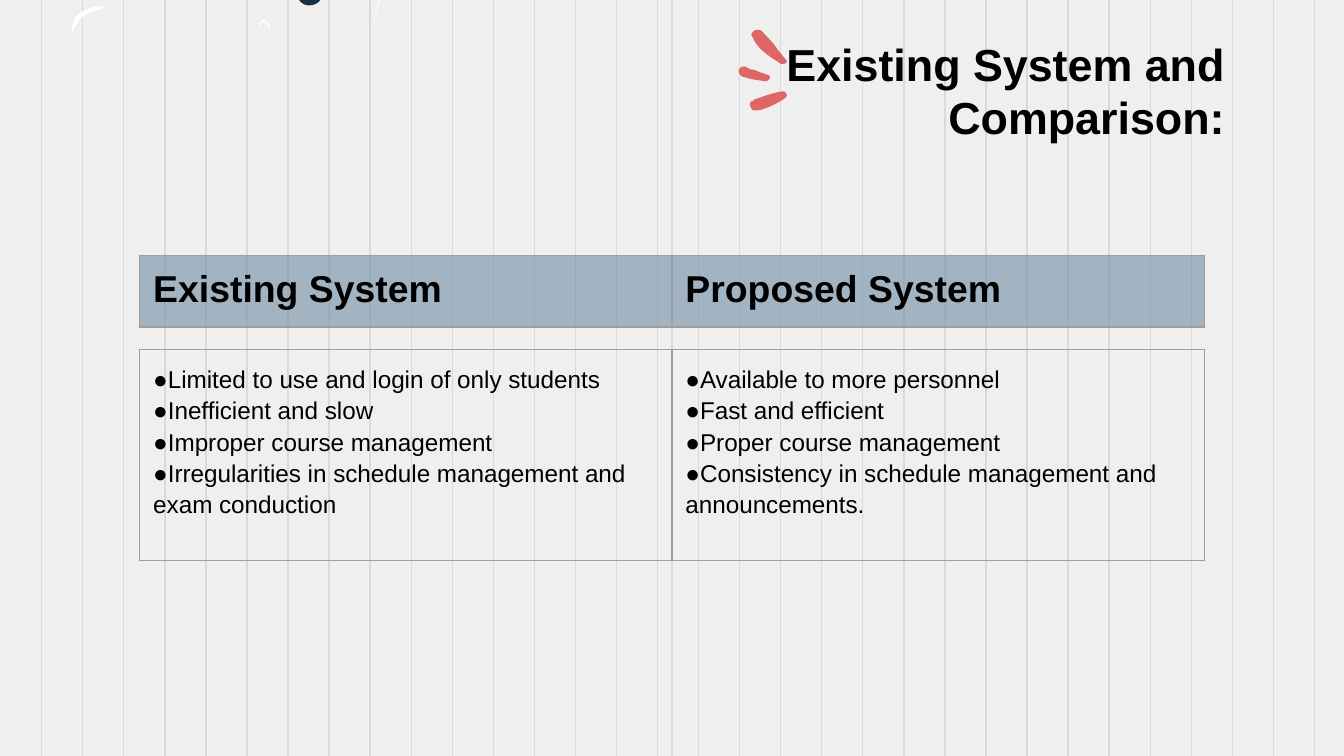
import math

import pptx
import pptx.dml.color
import pptx.enum.shapes
import pptx.enum.text
import pptx.oxml
import pptx.oxml.ns
import pptx.util
from lxml import etree

Inches = pptx.util.Inches
Pt = pptx.util.Pt
qn = pptx.oxml.ns.qn

COLORS = {
    "background": "EFEFEF", "grid": "D9D9D9", "coral": "E06666", "navy": "162F42",
    "white": "FFFFFF", "black": "000000", "header": "7994A9", "border": "9E9E9E",
}
FONT = "Arial"
SLIDE_WIDTH = 10
GRID_STEP = 0.3055

EXISTING = [
    "●Limited to use and login of only students",
    "●Inefficient and slow",
    "●Improper course management",
    "●Irregularities in schedule management and exam conduction",
]
PROPOSED = [
    "●Available to more personnel",
    "●Fast and efficient",
    "●Proper course management",
    "●Consistency in schedule management and announcements.",
]

TITLE_STROKES = [
    ((5.72, 0.345), [
        (5.81, 0.47), (5.82, 0.47, 5.83, 0.47, 5.84, 0.46),
        (5.85, 0.45, 5.84, 0.44, 5.83, 0.43), (5.81, 0.41, 5.8, 0.39, 5.78, 0.37),
        (5.75, 0.32, 5.7, 0.27, 5.65, 0.22), (5.62, 0.21, 5.59, 0.22, 5.58, 0.25),
        (5.58, 0.25, 5.58, 0.26, 5.59, 0.27), (5.6, 0.3, 5.62, 0.33, 5.65, 0.36),
        (5.69, 0.4, 5.74, 0.43, 5.8, 0.47)]),
    ((5.715, 0.76), [
        (5.6, 0.84), (5.62, 0.84, 5.63, 0.84, 5.65, 0.84),
        (5.72, 0.82, 5.78, 0.79, 5.84, 0.75), (5.85, 0.74, 5.86, 0.73, 5.85, 0.72),
        (5.85, 0.71, 5.84, 0.7, 5.82, 0.7), (5.74, 0.71, 5.68, 0.74, 5.61, 0.76),
        (5.61, 0.77, 5.6, 0.77, 5.59, 0.77), (5.59, 0.78, 5.57, 0.79, 5.58, 0.8),
        (5.58, 0.81, 5.59, 0.83, 5.6, 0.84)]),
    ((5.605, 0.555), [
        (5.54, 0.57), (5.59, 0.59, 5.64, 0.59, 5.69, 0.6),
        (5.7, 0.6, 5.72, 0.58, 5.72, 0.57), (5.72, 0.56, 5.71, 0.55, 5.7, 0.55),
        (5.64, 0.53), (5.62, 0.52, 5.6, 0.51, 5.57, 0.51),
        (5.56, 0.5, 5.55, 0.5, 5.54, 0.49), (5.52, 0.49, 5.5, 0.49, 5.49, 0.51),
        (5.48, 0.52, 5.49, 0.55, 5.51, 0.56), (5.52, 0.57, 5.53, 0.57, 5.54, 0.57)]),
]
DOT = [
    (2.3, -0.21), (2.25, -0.21, 2.21, -0.16, 2.21, -0.06), (2.21, 0, 2.25, 0.04, 2.3, 0.04),
    (2.36, 0.04, 2.4, 0, 2.4, -0.06), (2.4, -0.16, 2.37, -0.21, 2.3, -0.21),
]
WHITE_ARCS = [
    [(2.95, -0.13), (2.91, -0.13, 2.86, -0.07, 2.84, -0.04), (2.81, 0.01, 2.8, 0.07, 2.79, 0.13),
     (2.79, 0.17), (2.79, 0.14), (2.8, 0.09, 2.81, 0.03, 2.84, -0.02),
     (2.86, -0.05, 2.91, -0.11, 2.95, -0.11), (2.99, -0.11, 3.02, -0.07, 3.04, -0.02),
     (3.05, -0.01), (3.06, -0.02), (3.03, -0.09, 3, -0.13, 2.95, -0.13)],
    [(1.96, 0.15), (1.95, 0.15, 1.95, 0.15, 1.94, 0.16), (1.93, 0.18, 1.92, 0.2, 1.93, 0.22),
     (1.93, 0.21, 1.93, 0.19, 1.94, 0.18), (1.95, 0.17, 1.95, 0.16, 1.96, 0.16),
     (1.98, 0.16, 2, 0.2, 2.01, 0.22), (2.01, 0.2), (2, 0.18, 1.98, 0.15, 1.96, 0.15)],
    [(0.59, 0.15), (0.62, 0.12, 0.66, 0.09, 0.71, 0.08), (0.73, 0.07, 0.76, 0.07, 0.78, 0.05),
     (0.7, 0.04, 0.61, 0.07, 0.56, 0.13), (0.54, 0.17, 0.53, 0.2, 0.54, 0.24),
     (0.54, 0.23, 0.55, 0.22, 0.55, 0.21), (0.57, 0.19, 0.58, 0.17, 0.59, 0.15)],
]


def rgb(name):
    return pptx.dml.color.RGBColor.from_string(COLORS[name])


def style_font(p, size, bold=False):
    p.font.name, p.font.size, p.font.bold = FONT, Pt(size), bold
    p.font.color.rgb = rgb("black")


def add_grid_line(slide, x, top, bottom):
    line = slide.shapes.add_connector(
        pptx.enum.shapes.MSO_CONNECTOR.STRAIGHT,
        Inches(x), Inches(top), Inches(x), Inches(bottom))
    line.line.color.rgb = rgb("grid")
    line.line.width = Pt(0.75)
    etree.SubElement(line._element.spPr, qn("a:effectLst"))


def flatten(segments, steps=8):
    points = [segments[0]]
    for seg in segments[1:]:
        if len(seg) == 2:
            points.append(seg)
            continue
        ends = (points[-1], seg[:2], seg[2:4], seg[4:])
        for i in range(1, steps + 1):
            t = i / steps
            weights = ((1 - t) ** 3, 3 * t * (1 - t) ** 2, 3 * t * t * (1 - t), t ** 3)
            points.append(tuple(sum(w * e[k] for w, e in zip(weights, ends)) for k in (0, 1)))
    return points


def turn(points, center, degrees):
    cx, cy = center
    c, s = math.cos(math.radians(degrees)), math.sin(math.radians(degrees))
    return [(cx + (x - cx) * c - (y - cy) * s, cy + (x - cx) * s + (y - cy) * c)
            for x, y in points]


def add_blob(slide, points, color, rotation=0):
    points = [(Inches(x), Inches(y)) for x, y in points]
    builder = slide.shapes.build_freeform(*points[0])
    builder.add_line_segments(points[1:], close=True)
    sp = builder.convert_to_shape()
    sp.shadow.inherit = False
    sp.fill.solid()
    sp.fill.fore_color.rgb = rgb(color)
    sp.line.fill.background()
    sp.rotation = rotation


def add_title(slide, text):
    sp = slide.shapes.add_textbox(Inches(5.66), Inches(0.22), Inches(3.55), Inches(0.95))
    tf = sp.text_frame
    tf.word_wrap = True
    tf.vertical_anchor = pptx.enum.text.MSO_ANCHOR.BOTTOM
    tf.margin_left = tf.margin_right = tf.margin_top = tf.margin_bottom = Inches(0.1)
    p = tf.paragraphs[0]
    p.text = text
    p.alignment = pptx.enum.text.PP_ALIGN.RIGHT
    style_font(p, 24, True)


def add_borders(cell):
    tcPr = cell._tc.get_or_add_tcPr()
    for i, side in enumerate(("lnL", "lnR", "lnT", "lnB")):
        ln = etree.Element(qn("a:" + side), w=str(Pt(0.75)))
        fill = etree.SubElement(ln, qn("a:solidFill"))
        etree.SubElement(fill, qn("a:srgbClr"), val=COLORS["border"])
        tcPr.insert(i, ln)


def add_row_table(slide, top, height, columns, size, bold=False, spacing=None, fill=None):
    table = slide.shapes.add_table(
        1, len(columns), Inches(1.04), Inches(top), Inches(7.92), Inches(height)).table
    table.first_row = table.horz_banding = False
    for cell, lines in zip(table.rows[0].cells, columns):
        cell.margin_left = cell.margin_right = cell.margin_top = cell.margin_bottom = Inches(0.1)
        cell.text = "\n".join(lines)
        for p in cell.text_frame.paragraphs:
            p.line_spacing = spacing
            style_font(p, size, bold)
        if fill:
            cell.fill.solid()
            cell.fill.fore_color.rgb = rgb(fill)
            color = cell._tc.tcPr.find(".//" + qn("a:srgbClr"))
            etree.SubElement(color, qn("a:alpha"), val="65000")
        else:
            cell.fill.background()
        add_borders(cell)


def main():
    prs = pptx.Presentation()
    prs.slide_width, prs.slide_height = Inches(SLIDE_WIDTH), Inches(SLIDE_WIDTH * 9 / 16)
    slide = prs.slides.add_slide(prs.slide_layouts[6])
    slide.background.fill.solid()
    slide.background.fill.fore_color.rgb = rgb("background")

    for i in range(32):
        add_grid_line(slide, 0.31 + i * GRID_STEP, -0.01, 5.63)
    for i in range(19):
        top = -4.94 + i * GRID_STEP
        add_grid_line(slide, 5, top, top + 10)

    add_title(slide, "Existing System and Comparison:")
    for center, stroke in TITLE_STROKES:
        add_blob(slide, turn(flatten(stroke), center, -198.2), "coral", 198.2)
    add_blob(slide, flatten(DOT), "navy")
    for arc in WHITE_ARCS:
        add_blob(slide, flatten(arc), "white")

    add_row_table(slide, 2.6, 1.57, [EXISTING, PROPOSED], 13, spacing=1.15)
    add_row_table(slide, 1.9, 0.51, [["Existing System"], ["Proposed System"]], 20,
                  bold=True, fill="header")
    prs.save("out.pptx")


if __name__ == "__main__":
    main()
